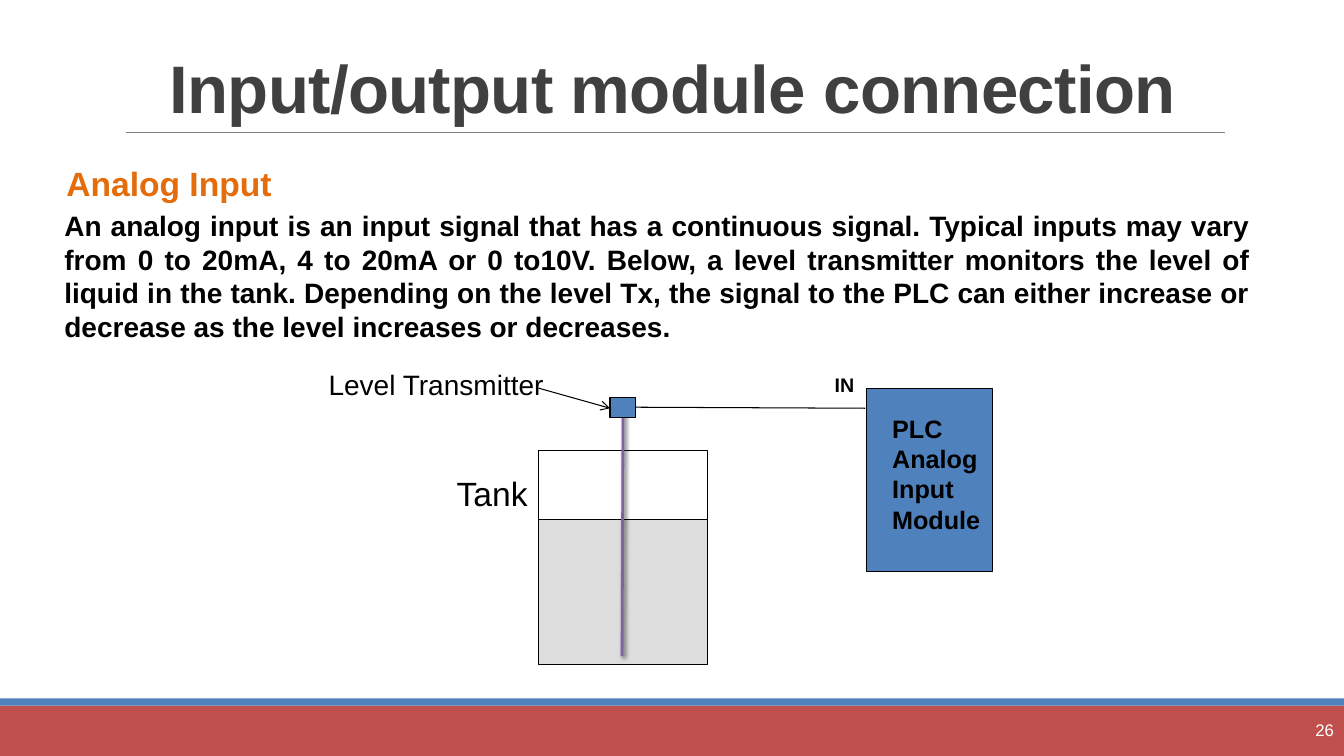
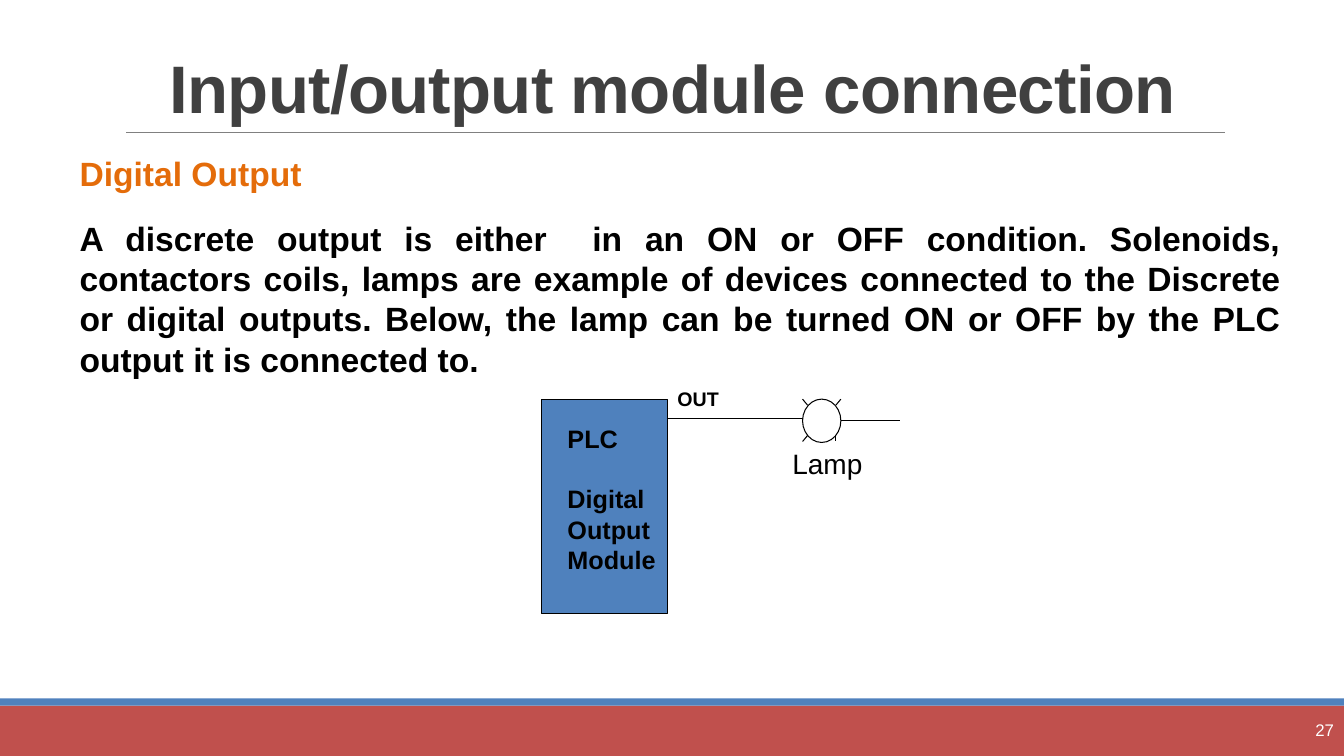
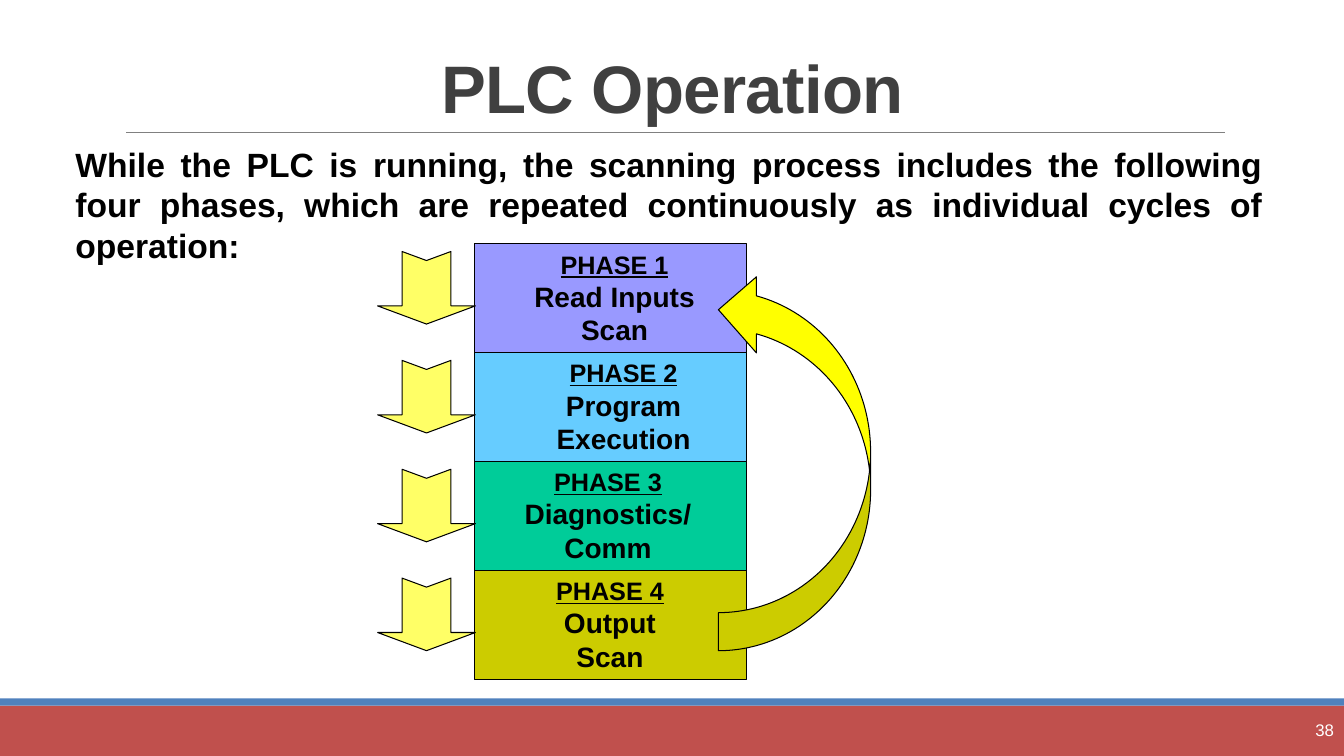
from lxml import etree
from pptx import Presentation, util as u
from pptx.dml.color import RGBColor
from pptx.enum import shapes, text
from pptx.oxml.ns import qn

PX = 9144  # EMU in one px, 100 px to the inch
FONT = "Arial"
BLACK, WHITE, GREY, DARK = "000000", "FFFFFF", "808080", "404040"
RED, BLUE, ORANGE, PURPLE = "C0504D", "4F81BD", "E46C0A", "8064A2"
LIQUID, YELLOW, PALE = "DDDDDD", "FFFF00", "FFFF66"
SHAPE, ALIGN, ANCHOR = shapes.MSO_SHAPE, text.PP_ALIGN, text.MSO_ANCHOR


def px(*sizes):
    return [u.Emu(size * PX) for size in sizes]


def color(code):
    return RGBColor.from_string(code)


def node(parent, tag, **attrs):
    return etree.SubElement(parent, qn(tag), attrs)


class Deck:
    def __init__(self):
        self.file = Presentation()
        self.file.slide_width, self.file.slide_height = px(1333, 750)
        self.slide = None

    def page(self, title, number):
        """Start a slide with the shared bands, title, rule and page number."""
        self.slide = self.file.slides.add_slide(self.file.slide_layouts[6])
        self.shape(0, 700, 1333, 50, fill=RED, line=None)
        self.shape(0, 693, 1333, 7, fill=BLUE, line=None)
        self.line(125, 131, 1215, 131, hue=GREY, width=0.5)
        self.text(117, 17, 1100, 114, title, size=48, bold=True, hue=DARK,
                  align=ALIGN.CENTER, anchor=ANCHOR.BOTTOM, leading=0.85,
                  track=-50, grow=False)
        self.text(1190, 704, 143, 40, str(number), size=12, hue=WHITE,
                  align=ALIGN.RIGHT, anchor=ANCHOR.MIDDLE, grow=False)

    def shape(self, x, y, w, h, kind=SHAPE.RECTANGLE, fill=None, line=BLACK,
              turn=0):
        item = self.slide.shapes.add_shape(kind, *px(x, y, w, h))
        item.shadow.inherit = False
        item.rotation = turn
        if fill:
            item.fill.solid()
            item.fill.fore_color.rgb = color(fill)
        else:
            item.fill.background()
        if line:
            item.line.color.rgb = color(line)
            item.line.width = u.Pt(0.75)
        else:
            item.line.fill.background()
        return item

    def line(self, x1, y1, x2, y2, hue=BLACK, width=0.75, arrow=False,
             shadow=False):
        item = self.slide.shapes.add_connector(
            shapes.MSO_CONNECTOR.STRAIGHT, *px(x1, y1, x2, y2))
        item.line.color.rgb = color(hue)
        item.line.width = u.Pt(width)
        if arrow:
            node(item.line._get_or_add_ln(), "a:tailEnd", type="arrow")
        effects = node(item._element.spPr, "a:effectLst")
        if shadow:
            outer = node(effects, "a:outerShdw", blurRad=str(u.Pt(3)),
                         dist=str(u.Pt(2)), dir="2700000")
            shade = node(outer, "a:srgbClr", val=BLACK)
            node(shade, "a:alpha", val="60000")

    def text(self, x, y, w, h, *lines, size=20, bold=False, hue=BLACK,
             align=ALIGN.LEFT, anchor=ANCHOR.TOP, wrap=True, grow=True,
             leading=None, track=None, styles=()):
        """Write one paragraph a line; styles maps a line's index to its
        own size, underline or space before."""
        box = self.slide.shapes.add_textbox(*px(x, y, w, h))
        frame = box.text_frame
        frame.word_wrap = wrap
        frame.vertical_anchor = anchor
        if grow:
            frame.auto_size = text.MSO_AUTO_SIZE.SHAPE_TO_FIT_TEXT
        styles = dict(styles)
        for i, words in enumerate(lines):
            own = styles.get(i, {})
            para = frame.add_paragraph() if i else frame.paragraphs[0]
            para.alignment = align
            if leading:
                para.line_spacing = leading
            if "before" in own:
                para.space_before = u.Pt(own["before"])
            run = para.add_run()
            run.text = words
            font = run.font
            font.name, font.bold = FONT, bold
            font.size = u.Pt(own.get("size", size))
            font.color.rgb = color(hue)
            if own.get("under"):
                font.underline = True
            if track:
                run._r.get_or_add_rPr().set("spc", str(track))

    def head(self, x, y, w, words):
        self.text(x, y, w, 51, words, size=24, bold=True, hue=ORANGE)

    def body(self, x, y, w, h, words, size=24):
        self.text(x, y, w, h, words, size=size, bold=True,
                  align=ALIGN.JUSTIFY)

    def label(self, x, y, w, h, *lines, **look):
        self.text(x, y, w, h, *lines, wrap=False, **look)

    def module(self, x, y, h, top, *lines, styles=()):
        """Draw a PLC module block with its name starting at top."""
        self.shape(x, y, 125, h, fill=BLUE)
        self.label(x + 16, top, 109, 30 * len(lines), *lines, size=18,
                   bold=True, styles=styles)


def analog(deck):
    deck.page("Input/output module connection", 26)
    deck.head(56, 157, 290, "Analog Input")
    deck.body(54, 202, 1196, 145,
              "An analog input is an input signal that has a continuous "
              "signal. Typical inputs may vary from 0 to 20mA, 4 to 20mA or "
              "0 to10V. Below, a level transmitter monitors the level of "
              "liquid in the tank. Depending on the level Tx, the signal to "
              "the PLC can either increase or decrease as the level "
              "increases or decreases.", size=20)
    deck.shape(534, 515, 168, 144, fill=LIQUID)
    deck.shape(534, 447, 168, 68)
    deck.line(618, 404, 617, 651, hue=PURPLE, width=2, shadow=True)
    deck.shape(605, 394, 25, 20, fill=BLUE)
    deck.line(630, 404, 858, 405)
    deck.module(859, 385, 182, 405, "PLC", "Analog", "Input", "Module")
    deck.label(818, 365, 40, 34, "IN", size=14, bold=True)
    deck.label(443, 464, 91, 51, "Tank", size=24)
    deck.line(534, 385, 605, 405, arrow=True)
    deck.text(316, 360, 255, 44, "Level Transmitter")


def digital(deck):
    deck.page("Input/output module connection", 27)
    deck.head(69, 147, 265, "Digital Output")
    deck.body(69, 211, 1211, 172,
              "A discrete output is either  in an ON or OFF condition. "
              "Solenoids, contactors coils, lamps are example of devices "
              "connected to the Discrete or digital outputs. Below, the lamp "
              "can be turned ON or OFF by the PLC output it is connected to.")
    deck.module(537, 396, 213, 415, "PLC", "Digital", "Output", "Module",
                styles={1: {"before": 21.5}})
    deck.line(662, 415, 796, 415)
    deck.label(662, 379, 62, 34, "OUT", size=14, bold=True)
    deck.shape(796, 396, 38, 43, kind=SHAPE.OVAL, fill=WHITE)
    for ray in ((829, 402, 834, 396), (796, 438, 801, 432),
                (801, 402, 796, 396), (829, 432, 829, 438)):
        deck.line(*ray)
    deck.line(834, 417, 893, 417)
    deck.label(776, 438, 90, 44, "Lamp")


def cycle(deck):
    deck.page("PLC Operation", 38)
    deck.body(65, 138, 1197, 131,
              "While the PLC is running, the scanning process includes the "
              "following four phases, which are repeated continuously as "
              "individual cycles of operation:")
    phases = (
        ("9999FF", 482, 255, "Read Inputs", "Scan"),
        ("66CCFF", 500, 237, "Program", "Execution"),
        ("00CC99", 468, 270, "Diagnostics/", "Comm"),
        ("CCCC00", 473, 264, "Output", "Scan"),
    )
    step = 108
    for i, (fill, left, width, *lines) in enumerate(phases):
        top = 242 + i * step
        deck.shape(471, top, 269, step, fill=fill)
        deck.text(left, top, width, step, f"PHASE {i + 1}", *lines,
                  bold=True, align=ALIGN.CENTER,
                  styles={0: {"size": 18, "under": True}})
        deck.shape(387, top - 5, 72, 97, kind=SHAPE.NOTCHED_RIGHT_ARROW,
                   fill=PALE, turn=90).adjustments[1] = 0.25
    deck.shape(600, 382, 376, 151, kind=SHAPE.CURVED_UP_ARROW, fill=YELLOW,
               turn=270)


def main():
    deck = Deck()
    for build in (analog, digital, cycle):
        build(deck)
    deck.file.save("out.pptx")


if __name__ == "__main__":
    main()
